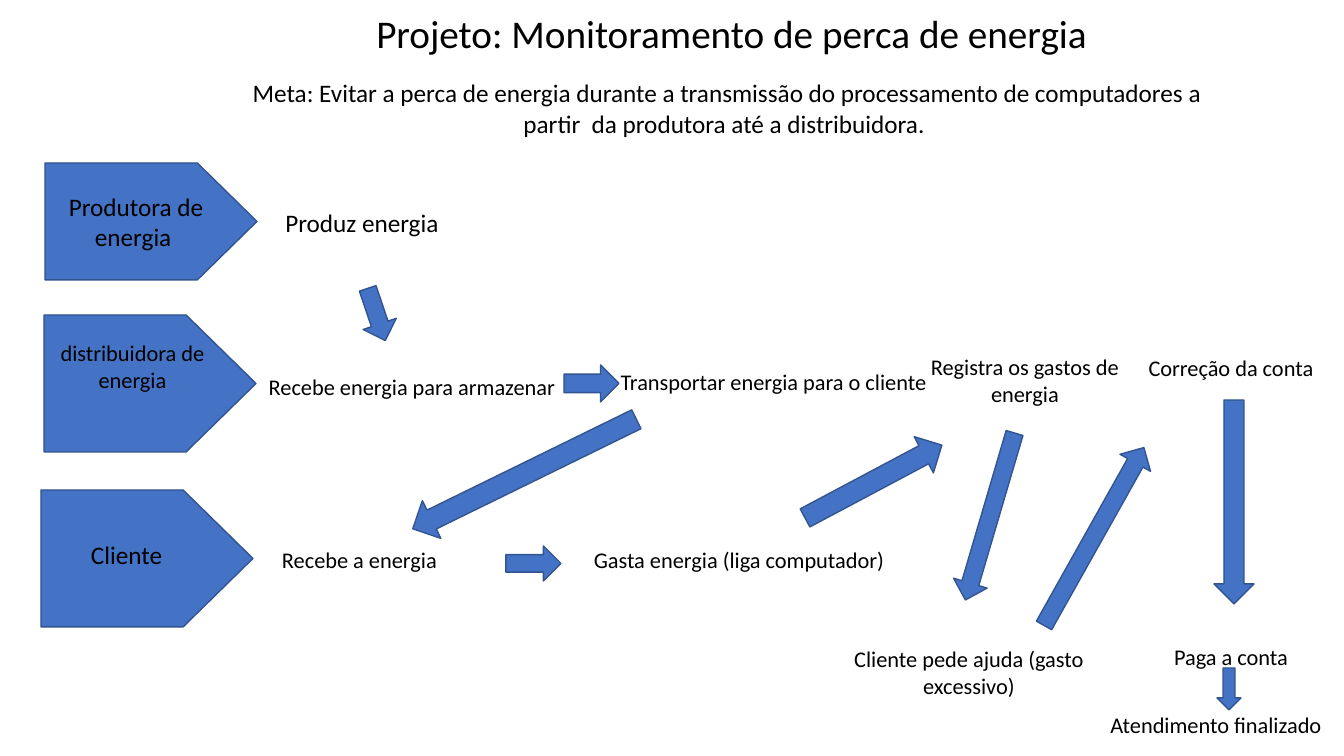
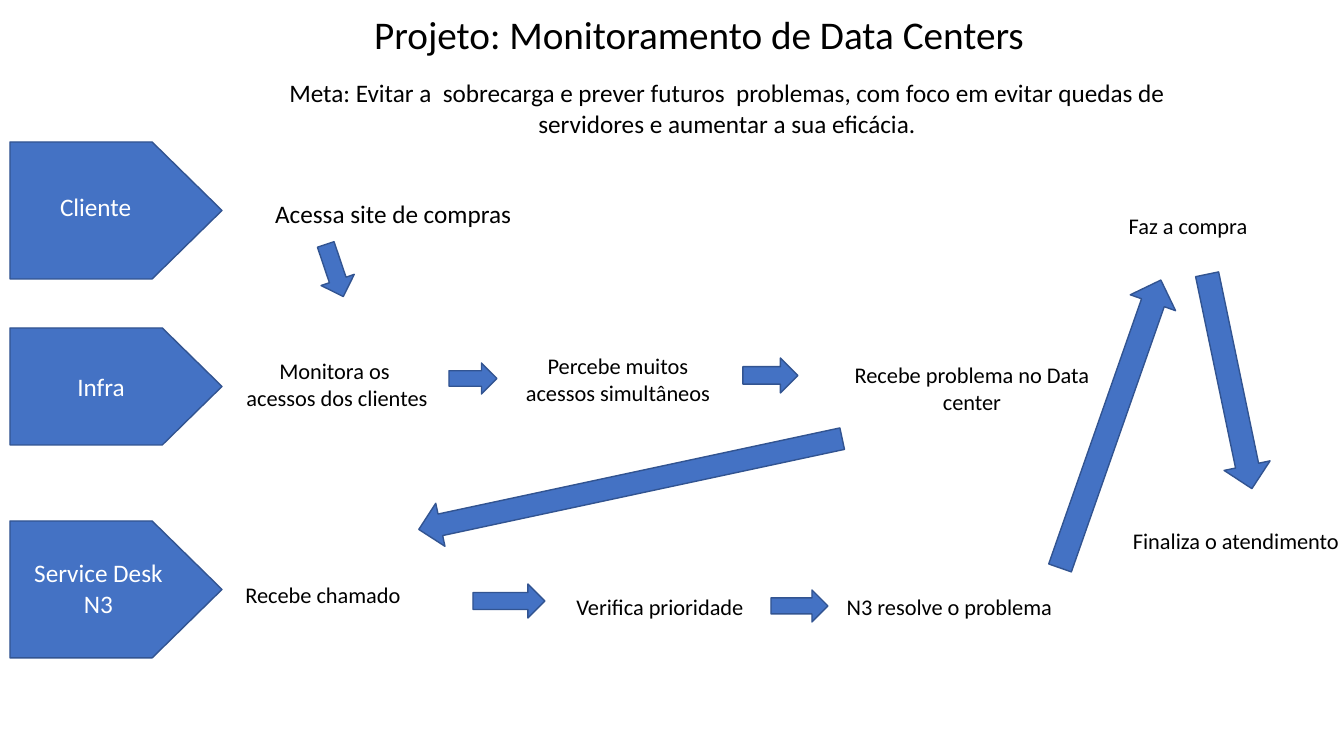
"""Build two process-flow slides: energy loss monitoring and data center monitoring."""
import pptx
import pptx.util
import pptx.dml.color
import pptx.enum.shapes
import pptx.enum.text

SHAPE = pptx.enum.shapes.MSO_SHAPE
THEME = {
    "font": "Calibri",
    "fill": "4472C4",
    "line": "325491",
    "dark": "000000",
    "light": "FFFFFF",
    "title": 28,
    "lead": 18,
    "step": 16,
}
GOAL_BOX = (238, 72, 978, 72)

slides = [
    {
        "title": ("Projeto: Monitoramento de perca de energia", (323, 4, 817, 57)),
        "goal": "Meta: Evitar a perca de energia durante a transmissão do processamento "
                "de computadores a partir  da produtora até a distribuidora. ",
        "lane_color": "dark",
        "lanes": [
            ("Produtora de energia ", "lead", (45, 163, 212, 117), 0),
            ("distribuidora de energia", "step", (44, 315, 212, 137), 34),
            ("Cliente ", "lead", (41, 490, 212, 137), 7),
        ],
        "steps": [
            ("Produz energia", "lead", (196, 202, 332, 40)),
            ("Recebe energia para armazenar ", "step", (130, 368, 569, 37)),
            ("Transportar energia para o cliente", "step", (436, 363, 675, 37)),
            ("Registra os gastos de energia", "step", (888, 348, 274, 65)),
            ("Correção da conta", "step", (1094, 349, 274, 37)),
            ("Recebe a energia ", "step", (225, 541, 274, 37)),
            ("Gasta energia (liga computador)", "step", (545, 541, 388, 37)),
            ("Cliente pede ajuda (gasto excessivo)", "step", (837, 640, 264, 65)),
            ("Paga a conta", "step", (1094, 638, 274, 37)),
            ("Atendimento finalizado", "step", (1079, 706, 274, 37)),
        ],
        "arrows": [
            ((349, 297, 55, 35), 71.4),
            ((564, 365, 55, 37), 0),
            ((400, 453, 249, 42), 153.9),
            ((506, 546, 55, 35), 0),
            ((796, 461, 155, 41), 332),
            ((903, 499, 174, 35), 106.4),
            ((992, 519, 204, 35), 299.3),
            ((1132, 482, 204, 40), 90),
            ((1208, 677, 42, 24), 90),
        ],
    },
    {
        "title": ("Projeto: Monitoramento de Data Centers", (286, 5, 826, 57)),
        "goal": "Meta: Evitar a  sobrecarga e prever futuros  problemas, com foco em "
                "evitar quedas de servidores e aumentar a sua eficácia.",
        "lane_color": "light",
        "lanes": [
            ("Cliente ", "lead", (10, 142, 212, 137), 7),
            ("Infra", "lead", (10, 328, 212, 117), 0),
            ("Service Desk N3", "lead", (10, 521, 212, 137), 3),
        ],
        "steps": [
            ("Acessa site de compras ", "lead", (230, 193, 332, 40)),
            ("Monitora os\n acessos dos clientes", "step", (50, 352, 569, 65)),
            ("Percebe muitos \nacessos simultâneos ", "step", (283, 347, 675, 65)),
            ("Recebe problema no Data center", "step", (835, 356, 274, 65)),
            ("Faz a compra", "step", (959, 207, 458, 37)),
            ("Recebe chamado", "step", (186, 576, 274, 37)),
            ("Verifica prioridade", "step", (528, 588, 264, 37)),
            ("N3 resolve o problema ", "step", (815, 588, 274, 37)),
            ("Finaliza o atendimento", "step", (1099, 522, 274, 37)),
        ],
        "arrows": [
            ((307, 253, 55, 35), 71.4),
            ((449, 363, 48, 31), 0),
            ((743, 358, 55, 35), 0),
            ((414, 462, 433, 44), 167.9),
            ((473, 584, 72, 34), 0),
            ((771, 590, 57, 32), 0),
            ((958, 400, 305, 48), 289.3),
            ((1120, 358, 219, 47), 78.2),
        ],
    },
]


def px(*lengths):
    return [pptx.util.Inches(n / 100.8) for n in lengths]


def write(sp, text, size, color):
    tf = sp.text_frame
    tf.word_wrap = True
    tf.vertical_anchor = pptx.enum.text.MSO_ANCHOR.MIDDLE
    tf.text = text
    for p in tf.paragraphs:
        p.alignment = pptx.enum.text.PP_ALIGN.CENTER
        p.font.name = THEME["font"]
        p.font.size = pptx.util.Pt(THEME[size])
        p.font.color.rgb = pptx.dml.color.RGBColor.from_string(THEME[color])


prs = pptx.Presentation()
prs.slide_width, prs.slide_height = px(1344, 756)

for content in slides:
    s = prs.slides.add_slide(prs.slide_layouts[6])

    title, title_box = content["title"]
    texts = [(title, "title", title_box), (content["goal"], "lead", GOAL_BOX)]
    for text, size, box in texts + content["steps"]:
        sp = s.shapes.add_textbox(*px(*box))
        write(sp, text, size, "dark")

    blocks = []
    for text, size, box, lift in content["lanes"]:
        sp = s.shapes.add_shape(SHAPE.PENTAGON, *px(*box))
        sp.adjustments[0] = 0.51
        write(sp, text, size, content["lane_color"])
        sp.text_frame.margin_bottom += px(lift)[0]
        blocks.append(sp)

    for box, angle in content["arrows"]:
        sp = s.shapes.add_shape(SHAPE.RIGHT_ARROW, *px(*box))
        sp.rotation = angle
        blocks.append(sp)

    for sp in blocks:
        sp.shadow.inherit = False
        sp.fill.solid()
        sp.fill.fore_color.rgb = pptx.dml.color.RGBColor.from_string(THEME["fill"])
        sp.line.color.rgb = pptx.dml.color.RGBColor.from_string(THEME["line"])
        sp.line.width = pptx.util.Pt(1)

prs.save("out.pptx")
